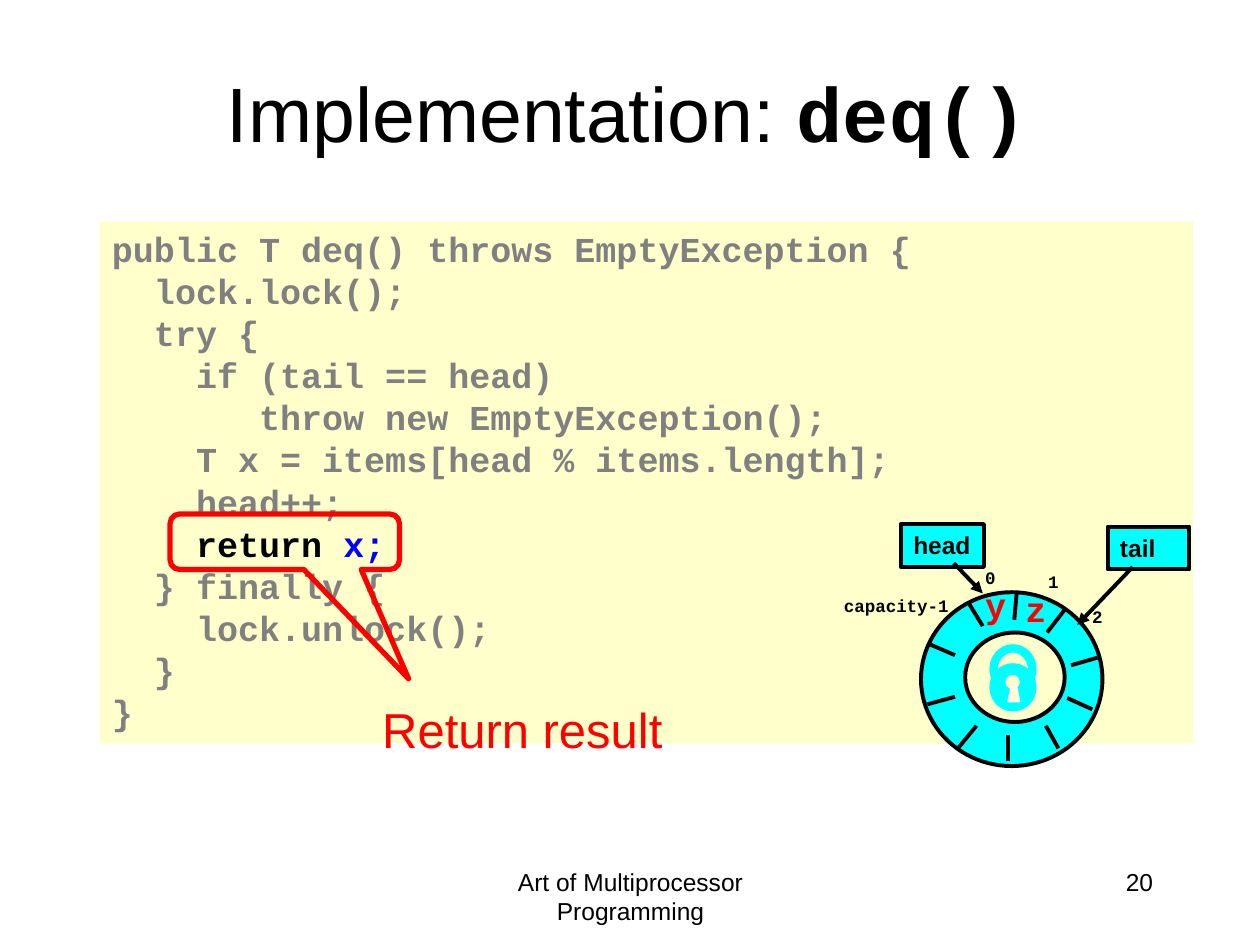
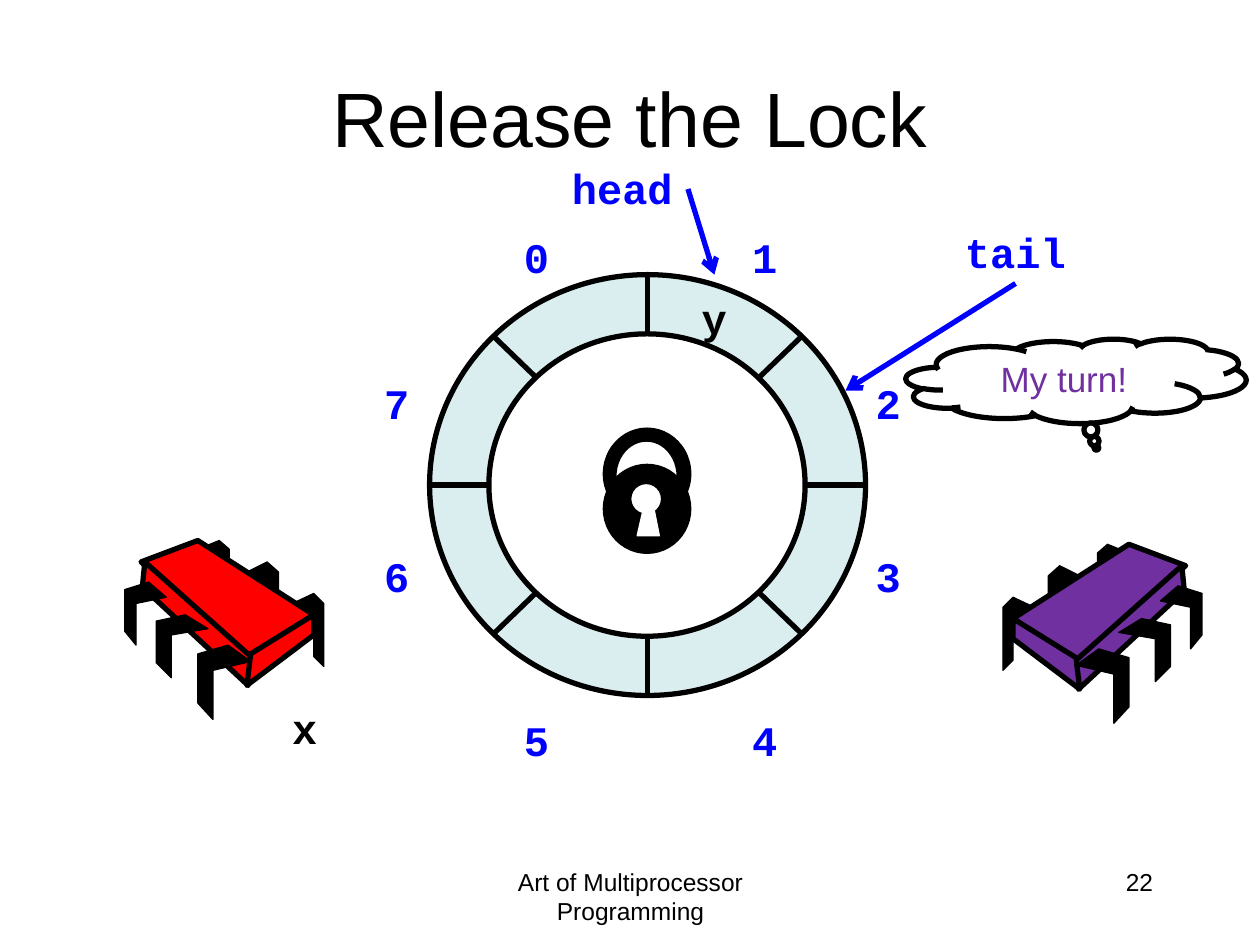
"""Build two slides about a lock-based queue: the deq() code and the lock release."""
import math
from dataclasses import dataclass

from pptx import Presentation
from pptx import util as u
from pptx.dml.color import RGBColor
from pptx.enum import shapes, text
from pptx.oxml import ns, xmlchemy


@dataclass(frozen=True)
class Theme:
    """Colours, fonts and type sizes shared by the slides."""
    black: str = "000000"
    white: str = "FFFFFF"
    grey: str = "808080"
    blue: str = "0000FF"
    red: str = "FF0000"
    purple: str = "7030A0"
    cyan: str = "00FFFF"
    cream: str = "FFFFCC"
    pale: str = "DAEDEF"
    sans: str = "Arial"
    mono: str = "Courier New"
    title: int = 44
    caption: int = 28
    label: int = 24
    code: int = 20
    small: int = 14
    tiny: int = 10


T = Theme()
SHAPE = shapes.MSO_SHAPE
ALIGN = text.PP_ALIGN
FOOTER = "Art of Multiprocessor Programming"

CODE = [
    [("public T deq() throws EmptyException {", T.grey)],
    [("  lock.lock();", T.grey)],
    [("  try {", T.grey)],
    [("    if (tail == head)", T.grey)],
    [("       throw new EmptyException();", T.grey)],
    [("    T x = items[head % items.length];", T.grey)],
    [("    head++;", T.grey)],
    [("    return ", T.black), ("x;", T.blue)],
    [("  } finally {", T.grey)],
    [("    lock.unlock();", T.grey)],
    [("  }", T.grey)],
    [("}", T.grey)],
]

SMALL_RING_TICKS = [
    (1.01, 1.77, 1.15, 1.60), (1.71, 0.86, 1.85, 0.68), (1.90, 1.12, 2.11, 1.06),
    (0.76, 1.43, 0.98, 1.37), (0.77, 0.95, 0.98, 1.04), (1.87, 1.38, 2.07, 1.47),
    (1.09, 0.63, 1.20, 0.81), (1.47, 0.54, 1.45, 0.76), (1.70, 1.60, 1.80, 1.78),
    (1.40, 1.88, 1.40, 1.67),
]

FAR_LEGS = [
    [(1.33, 0.50), (1.50, 0.42), (1.58, 0.50), (1.58, 1.00), (1.50, 0.92), (1.50, 0.59), (1.33, 0.67)],
    [(0.97, 0.25), (1.13, 0.17), (1.22, 0.25), (1.22, 0.75), (1.13, 0.67), (1.13, 0.33), (0.97, 0.42)],
    [(0.58, 0.07), (0.75, 0.00), (0.83, 0.07), (0.83, 0.50), (0.75, 0.43), (0.75, 0.14), (0.58, 0.22)],
]
BODY_FACES = [
    [(0.58, 0.00), (1.50, 0.59), (0.98, 0.93), (0.13, 0.17)],
    [(0.16, 0.17), (1.00, 0.92), (0.98, 1.15), (0.14, 0.37)],
    [(1.50, 0.59), (1.50, 0.75), (0.97, 1.15), (1.00, 0.90)],
]
NEAR_LEGS = [
    [(0.82, 0.83), (1.00, 0.96), (0.70, 1.03), (0.70, 1.42), (0.58, 1.29), (0.58, 0.90)],
    [(0.48, 0.59), (0.66, 0.70), (0.37, 0.75), (0.37, 1.09), (0.25, 0.97), (0.25, 0.64)],
    [(0.19, 0.33), (0.33, 0.45), (0.09, 0.50), (0.09, 0.83), (0.00, 0.72), (0.00, 0.39)],
]
BUG_WIDTH = 1.58


def rgb(code):
    """Turn a hex code into a colour."""
    return RGBColor.from_string(code)


def style_font(run, size, color, font, bold=False):
    """Format one run."""
    run.font.size, run.font.name, run.font.bold = u.Pt(size), font, bold
    run.font.color.rgb = rgb(color)


def paint(shape, fill, line=None, weight=1.0):
    """Set fill and outline of a shape and drop its shadow."""
    shape.shadow.inherit = False
    if fill:
        shape.fill.solid()
        shape.fill.fore_color.rgb = rgb(fill)
    else:
        shape.fill.background()
    if line:
        shape.line.color.rgb = rgb(line)
        shape.line.width = u.Pt(weight)
    else:
        shape.line.fill.background()
    return shape


def draw(slide, kind, box, fill, line=None, weight=1.0):
    """Add a preset shape in a left, top, width, height box."""
    return paint(slide.shapes.add_shape(kind, *map(u.Inches, box)), fill, line, weight)


def outline(slide, points, fill, line, weight):
    """Add a closed polygon."""
    corners = [(u.Inches(x), u.Inches(y)) for x, y in points]
    builder = slide.shapes.build_freeform(*corners[0])
    builder.add_line_segments(corners[1:], close=True)
    return paint(builder.convert_to_shape(), fill, line, weight)


def stroke(slide, ends, color, weight, arrow=None):
    """Add a straight line, with an arrowhead at its end if named."""
    line = slide.shapes.add_connector(shapes.MSO_CONNECTOR.STRAIGHT, *map(u.Inches, ends))
    line.line.color.rgb = rgb(color)
    line.line.width = u.Pt(weight)
    properties = line._element.spPr
    if arrow:
        head = xmlchemy.OxmlElement("a:tailEnd")
        head.set("type", arrow)
        properties.find(ns.qn("a:ln")).append(head)
    properties.append(xmlchemy.OxmlElement("a:effectLst"))


def write(shape, words, size, color, font, bold=False, align=ALIGN.LEFT, wrap=False):
    """Put one formatted paragraph in a shape."""
    frame = shape.text_frame
    frame.text, frame.word_wrap = words, wrap
    frame.vertical_anchor = text.MSO_ANCHOR.TOP
    frame.paragraphs[0].alignment = align
    style_font(frame.paragraphs[0].runs[0], size, color, font, bold)


def label(slide, box, *args, **kwargs):
    """Add a text box with one paragraph."""
    write(slide.shapes.add_textbox(*map(u.Inches, box)), *args, **kwargs)


def start_slide(deck, title_box, title_parts, number):
    """Add a slide with its title, footer and number."""
    slide = deck.slides.add_slide(deck.slide_layouts[5])
    title = slide.shapes.title
    title.left, title.top, title.width, title.height = map(u.Inches, title_box)
    title.text_frame.vertical_anchor = text.MSO_ANCHOR.MIDDLE
    heading = title.text_frame.paragraphs[0]
    heading.alignment = ALIGN.CENTER
    for words, font, bold in title_parts:
        run = heading.add_run()
        run.text = words
        style_font(run, T.title, T.black, font, bold)
    label(slide, (3.42, 6.83, 3.17, 0.5), FOOTER, T.small, T.black, T.sans,
          align=ALIGN.CENTER, wrap=True)
    label(slide, (7.17, 6.83, 2.08, 0.5), number, T.small, T.black, T.sans,
          align=ALIGN.RIGHT, wrap=True)
    return slide


def code_panel(slide, box):
    """Draw the listing with its highlighted return statement."""
    left, top = box[:2]
    listing = draw(slide, SHAPE.RECTANGLE, box, T.cream).text_frame
    listing.word_wrap = True
    listing.vertical_anchor = text.MSO_ANCHOR.TOP
    for row, pieces in enumerate(CODE):
        statement = listing.add_paragraph() if row else listing.paragraphs[0]
        statement.alignment = ALIGN.LEFT
        statement.line_spacing = u.Pt(1.2 * T.code)
        for words, color in pieces:
            run = statement.add_run()
            run.text = words
            style_font(run, T.code, color, T.mono, True)
    callout = draw(slide, SHAPE.ROUNDED_RECTANGULAR_CALLOUT,
                   (left + 0.56, top + 2.32, 1.82, 0.44), None, T.red, 3)
    for index, value in enumerate((0.54, 2.47, 0.17)):
        callout.adjustments[index] = value
    label(slide, (left + 0.85, top + 3.74, 5.01, 0.57), "Return result",
          T.caption, T.red, T.sans, align=ALIGN.CENTER, wrap=True)


def padlock(slide, box, color, hole):
    """Draw a padlock scaled to its box."""
    left, top, width, height = box
    parts = [((0, 0, 1, 0.73), color), ((0.14, 0.1, 0.71, 0.57), hole),
             ((0, 0.29, 1, 0.71), color), ((0.31, 0.44, 0.36, 0.25), hole)]
    for (x, y, w, h), fill in parts:
        draw(slide, SHAPE.OVAL, (left + x * width, top + y * height, w * width, h * height),
             fill, color)
    slot = [(0.39, 0.86), (0.46, 0.65), (0.58, 0.65), (0.64, 0.86)]
    outline(slide, [(left + x * width, top + y * height) for x, y in slot], hole, T.white, 1)


def small_queue(slide, left, top):
    """Draw the compact ring buffer with its head and tail pointers."""
    def at(x, y, *rest):
        return (left + x, top + y, *rest)

    draw(slide, SHAPE.OVAL, at(0.71, 0.54, 1.44, 1.38), T.cyan, T.black, 2.25)
    draw(slide, SHAPE.OVAL, at(1.06, 0.86, 0.79, 0.71), T.cream, T.black, 2.25)
    for x1, y1, x2, y2 in SMALL_RING_TICKS:
        stroke(slide, at(x1, y1) + at(x2, y2), T.black, 2.25)
    for words, x, y, width in [("0", 1.12, 0.29, 0.28), ("1", 1.62, 0.32, 0.28),
                               ("capacity-1", 0, 0.51, 1.04), ("2", 1.97, 0.6, 0.28)]:
        label(slide, at(x, y, width, 0.27), words, T.tiny, T.black, T.mono, True)
    pointers = [("head", (0.55, 0, 0.66, 0.34), (0.97, 0.31, 1.2, 0.55)),
                ("tail", (2.19, 0.02, 0.65, 0.34), (2.39, 0.34, 1.95, 0.8))]
    for words, tag, (x1, y1, x2, y2) in pointers:
        plate = draw(slide, SHAPE.RECTANGLE, at(*tag), T.cyan, T.black, 2.25)
        write(plate, words, T.small, T.black, T.sans, True, wrap=words == "tail")
        stroke(slide, at(x1, y1) + at(x2, y2), T.black, 2.25, "triangle")
    for item, x, y in [("y", 1.12, 0.42), ("z", 1.44, 0.45)]:
        label(slide, at(x, y, 0.37, 0.43), item, T.code, T.red, T.mono, True)
    padlock(slide, at(1.26, 0.96, 0.36, 0.52), T.cyan, T.cream)


def large_ring(slide, box):
    """Draw the eight-slot ring with its slot numbers."""
    left, top, width, height = box
    center_x, center_y = left + width / 2, top + height / 2
    draw(slide, SHAPE.OVAL, box, T.pale, T.black, 3)
    for step in range(4):
        dx = width / 2 * math.cos(step * math.pi / 4)
        dy = height / 2 * math.sin(step * math.pi / 4)
        stroke(slide, (center_x - dx, center_y - dy, center_x + dx, center_y + dy), T.black, 3)
    draw(slide, SHAPE.OVAL, (left + 0.47, top + 0.47, width - 0.95, height - 0.94),
         T.white, T.black, 3)
    columns, rows = (-0.46, 0.65, 2.46, 3.44), (-0.39, 0.77, 2.14, 3.44)
    clockwise = [(1, 0), (2, 0), (3, 1), (3, 2), (2, 3), (1, 3), (0, 2), (0, 1)]
    for slot, (column, row) in enumerate(clockwise):
        label(slide, (left + columns[column], top + rows[row], 0.41, 0.5), str(slot),
              T.label, T.blue, T.mono, True)
    for words, x, y, width, color in [("tail", 4.15, -0.43, 1.02, T.blue),
                                      ("head", 1.03, -0.94, 1.02, T.blue),
                                      ("y", 2.06, 0.09, 0.41, T.black),
                                      ("x", -1.19, 3.35, 0.41, T.black)]:
        label(slide, (left + x, top + y, width, 0.5), words, T.label, color, T.mono, True)
    for x1, y1, x2, y2 in [(4.65, 0.07, 3.3, 0.92), (2.05, -0.68, 2.26, 0)]:
        stroke(slide, (left + x1, top + y1, left + x2, top + y2), T.blue, 3, "arrow")


def bug(slide, left, top, color, mirrored=False):
    """Draw a six-legged thread, facing right unless mirrored."""
    layers = [(FAR_LEGS, T.black, 0.75), (BODY_FACES, color, 3), (NEAR_LEGS, T.black, 0.75)]
    for polygons, fill, weight in layers:
        for points in polygons:
            placed = [(left + (BUG_WIDTH - x if mirrored else x), top + y) for x, y in points]
            outline(slide, placed, fill, T.black, weight)


def thought(slide, box):
    """Draw the waiting thread's thought cloud."""
    cloud = draw(slide, SHAPE.CLOUD_CALLOUT, box, T.white, T.black, 3)
    cloud.adjustments[0], cloud.adjustments[1] = 0.06, 0.79
    write(cloud, "My turn!", T.code, T.purple, T.sans, align=ALIGN.CENTER, wrap=True)


def main():
    """Build and save the deck."""
    deck = Presentation()
    deck.slide_width, deck.slide_height = u.Inches(10), u.Inches(7.5)

    deq = start_slide(deck, (0.73, 0.26, 8.5, 1.25),
                      [("Implementation: ", T.sans, False), ("deq()", T.mono, True)], "20")
    code_panel(deq, (0.79, 1.76, 8.68, 4.14))
    small_queue(deq, 6.6, 4.16)

    release = start_slide(deck, (0.5, 0.3, 9, 1.25), [("Release the Lock", T.sans, False)], "22")
    large_ring(release, (3.41, 2.18, 3.46, 3.34))
    bug(release, 0.99, 4.29, T.red)
    bug(release, 7.96, 4.32, T.purple, mirrored=True)
    thought(release, (7.19, 2.69, 2.7, 0.67))
    padlock(release, (4.79, 3.4, 0.69, 0.99), T.black, T.white)

    deck.save("out.pptx")


if __name__ == "__main__":
    main()
